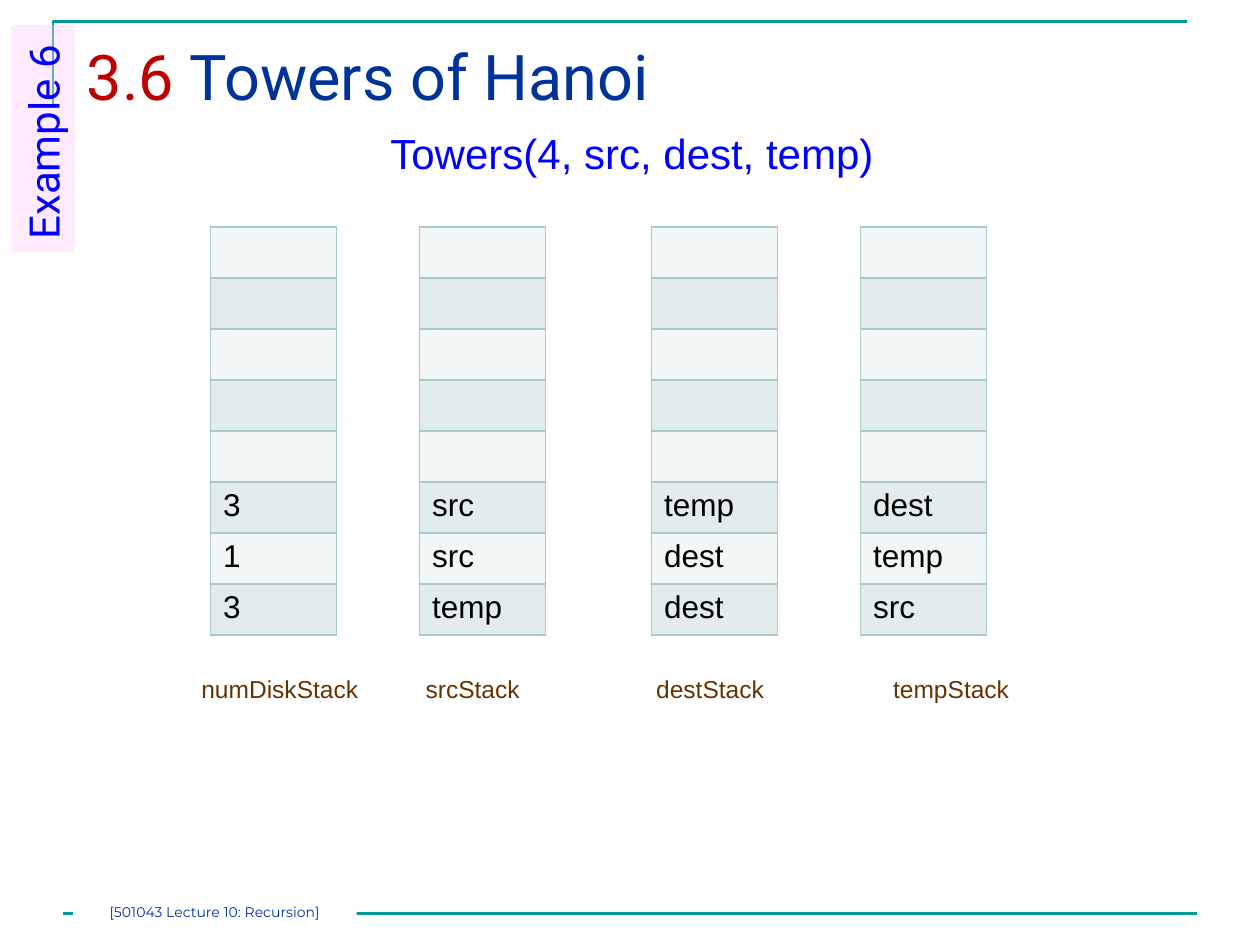
"""Build the Towers of Hanoi slide showing the four recursion stacks."""
from dataclasses import dataclass

from lxml import etree
from pptx import Presentation
from pptx.dml.color import RGBColor
from pptx.enum.shapes import MSO_CONNECTOR, MSO_SHAPE
from pptx.enum.text import MSO_ANCHOR, PP_ALIGN
from pptx.oxml.ns import qn
from pptx.util import Inches, Pt

STRAIGHT = MSO_CONNECTOR.STRAIGHT
RECTANGLE = MSO_SHAPE.RECTANGLE
TOP = MSO_ANCHOR.TOP
LEFT, CENTER = PP_ALIGN.LEFT, PP_ALIGN.CENTER

TEAL, NAVY, RED, BLUE, BROWN = "009999", "003399", "C00000", "0000FF", "663300"
BORDER, BANDS = "AACACA", ("F1F6F6", "E2ECEC")
SLOTS, SLOT_HEIGHT, STACK_TOP, STACK_WIDTH = 8, 0.405, 1.8, 1
LABEL_LEFT, INSET = 1.5, 0.1


@dataclass(frozen=True)
class Stack:
    name: str
    left: float
    label_left: float
    values: tuple[str, ...]


@dataclass(frozen=True)
class Area:
    left: float
    top: float
    width: float
    height: float

    def lengths(self) -> tuple:
        """Return the four sides as slide lengths."""
        return tuple(Inches(n) for n in (self.left, self.top, self.width, self.height))


@dataclass(frozen=True)
class Style:
    size: float
    font: str
    color: str
    align: PP_ALIGN = LEFT


STACKS = (
    Stack("numDiskStack", 1.67, 1.6, ("3", "1", "3")),
    Stack("srcStack", 3.33, 3.38, ("src", "src", "temp")),
    Stack("destStack", 5.17, 5.21, ("temp", "dest", "dest")),
    Stack("tempStack", 6.83, 7.09, ("dest", "temp", "src")),
)


def rgb(color: str) -> RGBColor:
    """Turn a hex string into a colour."""
    return RGBColor.from_string(color)


def style_paragraph(para, style: Style) -> None:
    """Apply a style to a whole paragraph."""
    para.alignment = style.align
    para.font.size = Pt(style.size)
    para.font.name = style.font
    para.font.color.rgb = rgb(style.color)


def add_text(slide, area: Area, text: str, style: Style, wrap: bool = True):
    """Add a text box and return its paragraph."""
    frame = slide.shapes.add_textbox(*area.lengths()).text_frame
    frame.word_wrap = wrap
    para = frame.paragraphs[0]
    para.text = text
    style_paragraph(para, style)
    return para


def add_panel(slide, area: Area, fill: str, text: str, style: Style):
    """Add a filled rectangle holding one line of text."""
    panel = slide.shapes.add_shape(RECTANGLE, *area.lengths())
    panel.shadow.inherit = False
    panel.fill.solid()
    panel.fill.fore_color.rgb = rgb(fill)
    panel.line.fill.background()
    frame = panel.text_frame
    frame.word_wrap = True
    frame.vertical_anchor = TOP
    frame.text = text
    style_paragraph(frame.paragraphs[0], style)
    return panel


def add_frame_lines(slide) -> None:
    """Draw the corner line at the top and the rule at the bottom."""
    builder = slide.shapes.build_freeform(Inches(0.42), Inches(0.83))
    builder.add_line_segments(
        [(Inches(0.42), Inches(0.17)), (Inches(9.42), Inches(0.17))], close=False)
    corner = builder.convert_to_shape()
    corner.shadow.inherit = False
    corner.fill.background()
    rule = slide.shapes.add_connector(
        STRAIGHT, Inches(0.5), Inches(7.25), Inches(9.5), Inches(7.25))
    etree.SubElement(rule._element.spPr, qn("a:effectLst"))
    for shape in (corner, rule):
        shape.line.color.rgb = rgb(TEAL)
        shape.line.width = Pt(1.5)


def add_borders(cell) -> None:
    """Draw a thin line on each side of a cell."""
    properties = cell._tc.get_or_add_tcPr()
    for side in ("a:lnL", "a:lnR", "a:lnT", "a:lnB"):
        line = etree.SubElement(properties, qn(side), w=str(Pt(1)))
        fill = etree.SubElement(line, qn("a:solidFill"))
        etree.SubElement(fill, qn("a:srgbClr"), val=BORDER)


def add_stack(slide, stack: Stack) -> None:
    """Draw a stack as a one-column table filled from the bottom."""
    area = Area(stack.left, STACK_TOP, STACK_WIDTH, SLOTS * SLOT_HEIGHT)
    table = slide.shapes.add_table(SLOTS, 1, *area.lengths()).table
    table.first_row = table.horz_banding = False
    texts = ("",) * (SLOTS - len(stack.values)) + stack.values
    for row, text in enumerate(texts):
        table.rows[row].height = Inches(SLOT_HEIGHT)
        cell = table.cell(row, 0)
        add_borders(cell)
        cell.fill.solid()
        cell.fill.fore_color.rgb = rgb(BANDS[row % 2])
        cell.text = text
        style_paragraph(cell.text_frame.paragraphs[0], Style(18, "Arial", "000000"))


def add_stack_labels(slide) -> None:
    """Write the stack names on one line, spaced with tab stops."""
    names = "\t".join(stack.name for stack in STACKS)
    para = add_text(slide, Area(LABEL_LEFT, 5.3, 6.83, 0.34), names,
                    Style(14, "Arial", BROWN))
    tabs = etree.Element(qn("a:tabLst"))
    for stack in STACKS[1:]:
        position = Inches(stack.label_left - LABEL_LEFT - INSET)
        etree.SubElement(tabs, qn("a:tab"), pos=str(position), algn="l")
    para._p.get_or_add_pPr().insert(0, tabs)


def add_title(slide) -> None:
    """Write the title with its red section number."""
    para = add_text(slide, Area(0.59, 0.25, 8.91, 0.86), "",
                    Style(36, "Roboto", NAVY))
    for text, color in (("3.6 ", RED), ("Towers of Hanoi", NAVY)):
        span = para.add_run()
        span.text = text
        span.font.size = Pt(36)
        span.font.name = "Roboto"
        span.font.color.rgb = rgb(color)


def add_example_tag(slide) -> None:
    """Add the translucent sideways tag."""
    tag = add_panel(slide, Area(-0.56, 0.85, 1.8, 0.5), "FFCCFF", "Example 6",
                    Style(24, "Roboto", BLUE))
    tag.rotation = 270
    color = tag._element.spPr.find(qn("a:solidFill")).find(qn("a:srgbClr"))
    etree.SubElement(color, qn("a:alpha"), val="40000")


def add_footer(slide) -> None:
    """Add the lecture name over the bottom rule."""
    frame = add_panel(slide, Area(0.58, 7.17, 2.25, 0.17), "FFFFFF",
                      "[501043 Lecture 10: Recursion]",
                      Style(8, "Montserrat", NAVY, CENTER)).text_frame
    frame.margin_left = frame.margin_right = frame.margin_top = frame.margin_bottom = 0


def main() -> None:
    """Build and save the deck."""
    deck = Presentation()
    deck.slide_width, deck.slide_height = Inches(10), Inches(7.5)
    slide = deck.slides.add_slide(deck.slide_layouts[6])
    add_frame_lines(slide)
    for stack in STACKS:
        add_stack(slide, stack)
    add_text(slide, Area(3, 0.96, 4.07, 0.5), "Towers(4, src, dest, temp)",
             Style(24, "Arial", BLUE), wrap=False)
    add_stack_labels(slide)
    add_title(slide)
    add_example_tag(slide)
    add_footer(slide)
    deck.save("out.pptx")


if __name__ == "__main__":
    main()
